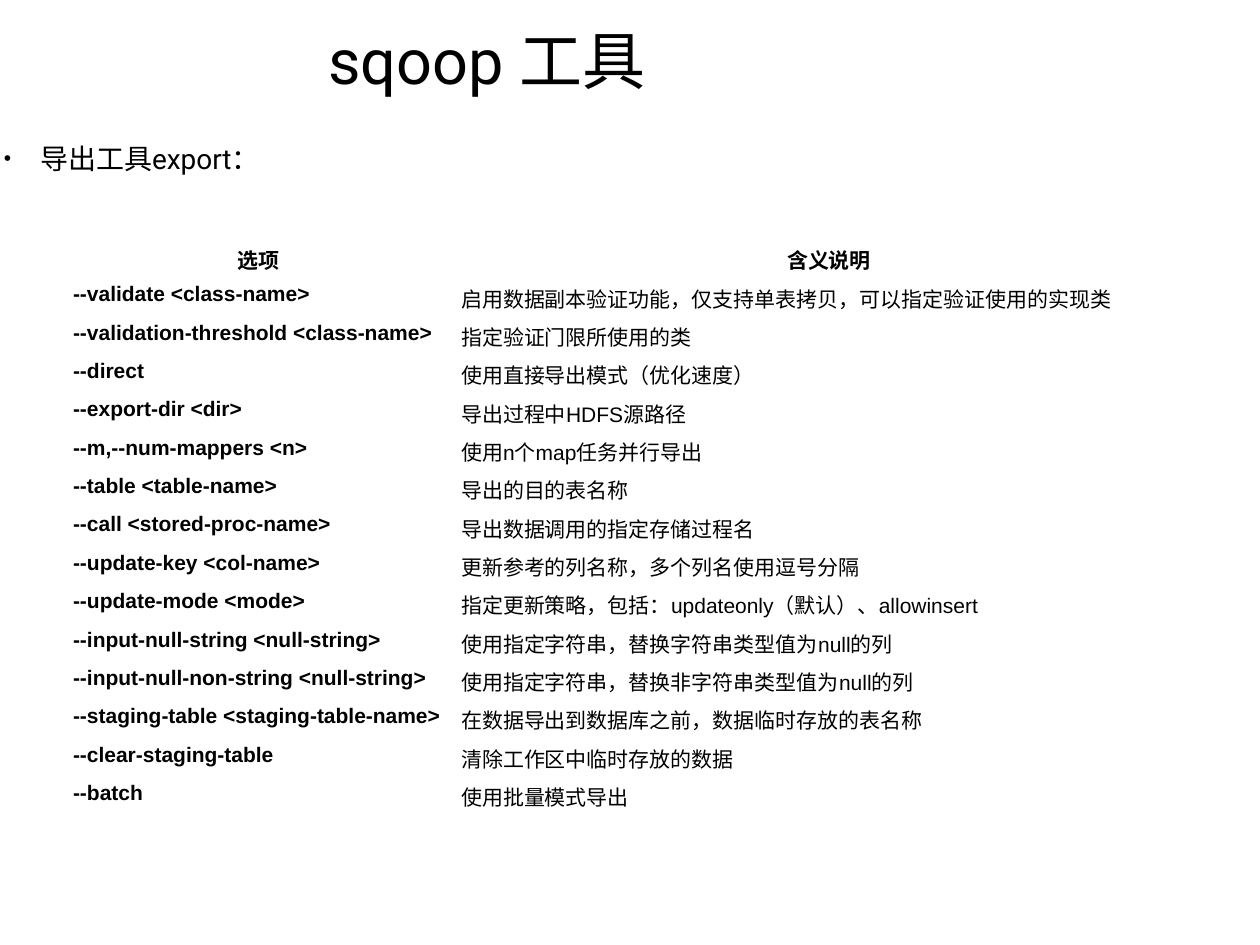
from lxml.etree import SubElement
from pptx import Presentation
from pptx.dml.color import RGBColor
from pptx.enum.text import MSO_ANCHOR, PP_ALIGN
from pptx.oxml.ns import qn
from pptx.util import Inches, Pt

COLORS = {"text": "000000"}
HEADER = ("选项", "含义说明")
OPTIONS = [
    ("--validate <class-name>", "启用数据副本验证功能，仅支持单表拷贝，可以指定验证使用的实现类"),
    ("--validation-threshold <class-name>", "指定验证门限所使用的类"),
    ("--direct", "使用直接导出模式（优化速度）"),
    ("--export-dir <dir>", "导出过程中HDFS源路径"),
    ("--m,--num-mappers <n>", "使用n个map任务并行导出"),
    ("--table <table-name>", "导出的目的表名称"),
    ("--call <stored-proc-name>", "导出数据调用的指定存储过程名"),
    ("--update-key <col-name>", "更新参考的列名称，多个列名使用逗号分隔"),
    ("--update-mode <mode>", "指定更新策略，包括：updateonly（默认）、allowinsert"),
    ("--input-null-string <null-string>", "使用指定字符串，替换字符串类型值为null的列"),
    ("--input-null-non-string <null-string>", "使用指定字符串，替换非字符串类型值为null的列"),
    ("--staging-table <staging-table-name>", "在数据导出到数据库之前，数据临时存放的表名称"),
    ("--clear-staging-table", "清除工作区中临时存放的数据"),
    ("--batch", "使用批量模式导出"),
]


def write(para, text, size, font, bold=False, align=PP_ALIGN.LEFT):
    """Fill a paragraph with text in one style."""
    para.text = text
    para.alignment = align
    for span in para.runs:
        span.font.size = Pt(size)
        span.font.name = font
        span.font.bold = bold
        span.font.color.rgb = RGBColor.from_string(COLORS["text"])


def add_text(page, left, top, width, height, text, size, anchor, align=PP_ALIGN.LEFT):
    """Add a wrapped text box and return its paragraph."""
    box = page.shapes.add_textbox(Inches(left), Inches(top), Inches(width), Inches(height))
    frame = box.text_frame
    frame.word_wrap = True
    frame.vertical_anchor = anchor
    frame.margin_left = frame.margin_right = Inches(0.03)
    frame.margin_top = frame.margin_bottom = Inches(0.03)
    para = frame.paragraphs[0]
    write(para, text, size, "Roboto", align=align)
    return para


def add_bullet(para, indent):
    """Give a paragraph a hanging round bullet."""
    properties = para._p.get_or_add_pPr()
    properties.set("marL", str(Inches(indent)))
    properties.set("indent", str(-Inches(indent)))
    SubElement(properties, qn("a:buSzPct"), val="75000")
    SubElement(properties, qn("a:buFont"), typeface="Arial")
    SubElement(properties, qn("a:buChar"), char="•")


def add_options_table(page, left, top, widths, height):
    """Add the table of export options with plain cells."""
    rows = [HEADER] + OPTIONS
    table = page.shapes.add_table(
        len(rows), len(widths), Inches(left), Inches(top), Inches(sum(widths)), Inches(height)
    ).table
    table.first_row = table.horz_banding = False
    for column, width in zip(table.columns, widths):
        column.width = Inches(width)
    for row_index, texts in enumerate(rows):
        is_header = row_index == 0
        align = PP_ALIGN.CENTER if is_header else PP_ALIGN.LEFT
        for column_index, text in enumerate(texts):
            cell = table.cell(row_index, column_index)
            cell.fill.background()
            cell.margin_left = cell.margin_right = Inches(0.07)
            cell.margin_top = cell.margin_bottom = 0
            bold = is_header or column_index == 0
            write(cell.text_frame.paragraphs[0], text, 12, "Arial", bold, align)


def main():
    """Build the slide and save it."""
    deck = Presentation()
    deck.slide_width, deck.slide_height = Inches(10), Inches(7.5)
    page = deck.slides.add_slide(deck.slide_layouts[6])
    add_text(page, 0, 0, 7.73, 0.94, "sqoop 工具", 36, MSO_ANCHOR.MIDDLE, PP_ALIGN.CENTER)
    topic = add_text(page, 0, 1.09, 9.61, 5.55, "导出工具export：", 16, MSO_ANCHOR.TOP)
    topic.space_before = Pt(25.2)
    add_bullet(topic, 0.29)
    add_options_table(page, 0.51, 1.94, (3.08, 5.98), 4.57)
    deck.save("out.pptx")


if __name__ == "__main__":
    main()
